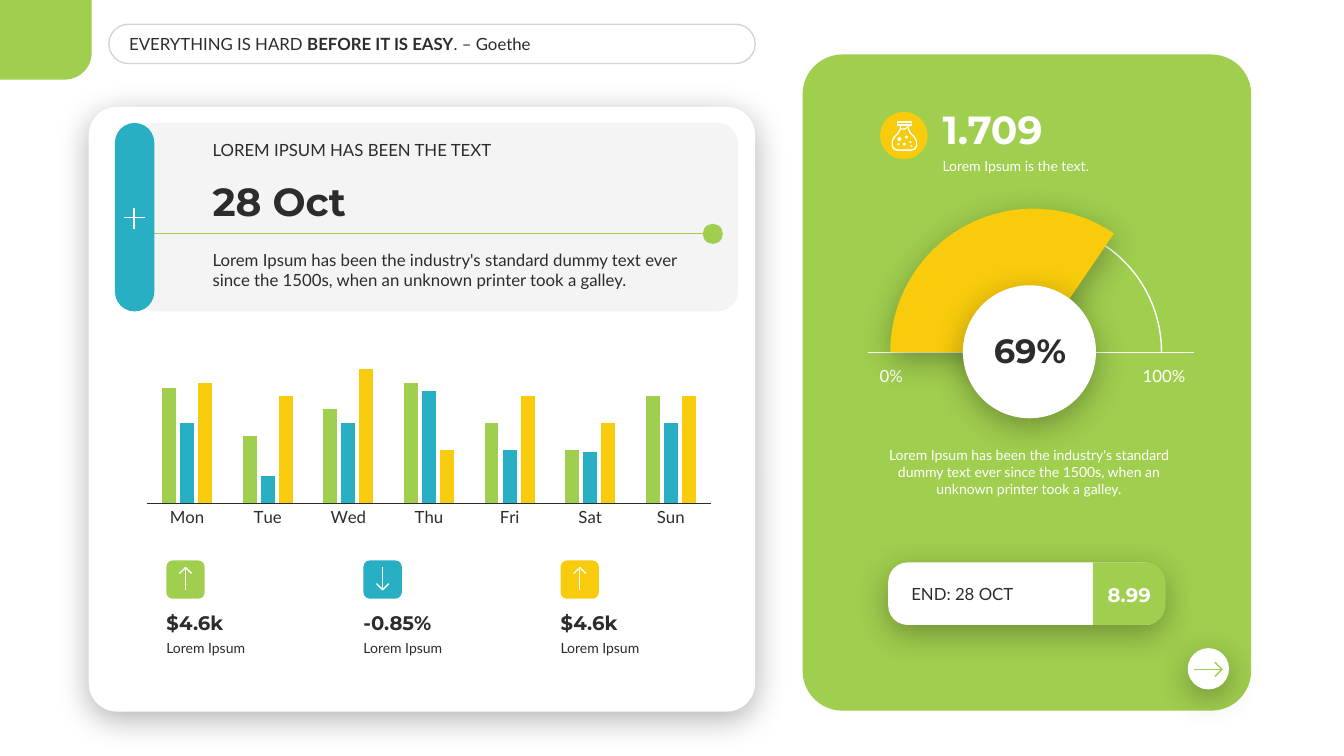
from dataclasses import dataclass

from lxml import etree
from pptx import Presentation
from pptx.chart.data import CategoryChartData
from pptx.dml.color import RGBColor
from pptx.enum.chart import XL_CHART_TYPE, XL_TICK_MARK
from pptx.enum.shapes import MSO_CONNECTOR, MSO_SHAPE
from pptx.enum.text import MSO_ANCHOR, PP_ALIGN
from pptx.oxml import parse_xml
from pptx.oxml.ns import nsdecls, qn
from pptx.util import Inches, Pt

ROUND, OVAL, ARC = MSO_SHAPE.ROUNDED_RECTANGLE, MSO_SHAPE.OVAL, MSO_SHAPE.ARC
ONE_ROUND, SIDE_ROUND = MSO_SHAPE.ROUND_1_RECTANGLE, MSO_SHAPE.ROUND_2_SAME_RECTANGLE
LEFT, CENTER = PP_ALIGN.LEFT, PP_ALIGN.CENTER
TOP, MIDDLE, BOTTOM = MSO_ANCHOR.TOP, MSO_ANCHOR.MIDDLE, MSO_ANCHOR.BOTTOM


@dataclass(frozen=True)
class Theme:
    ink: str = "2C2C2C"
    white: str = "FFFFFF"
    green: str = "A0CE4E"
    teal: str = "28AFC3"
    yellow: str = "F8CB0C"
    body: str = "Lato"
    head: str = "Montserrat"
    small: int = 10
    normal: int = 12
    figure: int = 14
    percent: int = 24
    title: int = 28


THEME = Theme()
QUOTE = [("EVERYTHING IS HARD ", False), ("BEFORE IT IS EASY", True), (". – Goethe", False)]
LOREM = ("Lorem Ipsum has been the industry's standard dummy text ever "
         "since the 1500s, when an unknown printer took a galley.")
DAYS = ["Mon", "Tue", "Wed", "Thu", "Fri", "Sat", "Sun"]
SERIES = [
    ("Series 1", [86, 50, 70, 90, 60, 40, 80], THEME.green),
    ("Series 2", [60, 20, 60, 84, 40, 38, 60], THEME.teal),
    ("Series 3", [90, 80, 100, 40, 80, 60, 80], THEME.yellow),
]
INDICATORS = [
    ("$4.6k", "Lorem Ipsum", THEME.green, -1),
    ("-0.85%", "Lorem Ipsum", THEME.teal, 1),
    ("$4.6k", "Lorem Ipsum", THEME.yellow, -1),
]
FIRST_INDICATOR, LAST_INDICATOR = 1.65, 5.56
GAUGE_START, GAUGE_END = 179.82, 304.24
ARC_UNIT = 0.6
FLASK = [
    [(8.93, 1.24), (8.93, 1.28), (8.91, 1.32), (8.87, 1.36), (8.85, 1.4), (8.85, 1.45),
     (8.87, 1.48), (8.9, 1.49), (9.03, 1.49), (9.07, 1.48), (9.09, 1.45), (9.09, 1.4),
     (9.07, 1.36), (9.03, 1.32), (9.01, 1.28), (9.01, 1.24)],
    [(8.9, 1.21), (9.04, 1.21), (9.04, 1.24), (8.9, 1.24), (8.9, 1.21)],
    [(8.93, 1.28), (8.97, 1.28), (9.01, 1.26)],
]
BUBBLES = [(8.92, 1.38, 0.04), (8.99, 1.36, 0.03), (8.97, 1.43, 0.03),
           (8.91, 1.43, 0.02), (9.03, 1.41, 0.02), (9.04, 1.45, 0.02)]

deck = Presentation()
deck.slide_width, deck.slide_height = Inches(13.33), Inches(7.5)
page = deck.slides.add_slide(deck.slide_layouts[6])


def rgb(color):
    return RGBColor.from_string(color)


def set_alpha(shape, percent):
    for color in shape._element.spPr.iter(qn("a:srgbClr")):
        etree.SubElement(color, qn("a:alpha")).set("val", str(percent * 1000))


def add_shape(kind, box, fill=None, line=None, adjust=(), rotation=0, shadow=False):
    shape = page.shapes.add_shape(kind, *map(Inches, box))
    shape.rotation = rotation
    for index, value in enumerate(adjust):
        shape.adjustments[index] = value
    if fill:
        shape.fill.solid()
        shape.fill.fore_color.rgb = rgb(fill)
    else:
        shape.fill.background()
    if line:
        shape.line.color.rgb = rgb(line)
        shape.line.width = Pt(1)
    else:
        shape.line.fill.background()
    shape.shadow.inherit = False
    if shadow:
        shape._element.spPr.find(qn("a:effectLst")).append(parse_xml(
            f'<a:outerShdw {nsdecls("a")} blurRad="{Pt(23)}" dist="{Pt(6)}" dir="5400000" '
            'algn="t" rotWithShape="0"><a:srgbClr val="000000"><a:alpha val="30000"/>'
            '</a:srgbClr></a:outerShdw>'))
    return shape


def add_text(box, text, size=THEME.normal, color=THEME.ink, face=THEME.body, bold=False,
             align=LEFT, anchor=TOP, side=0.1, edge=0.05):
    frame = page.shapes.add_textbox(*map(Inches, box)).text_frame
    frame.word_wrap = True
    frame.vertical_anchor = anchor
    frame.margin_left = frame.margin_right = Inches(side)
    frame.margin_top = frame.margin_bottom = Inches(edge)
    para = frame.paragraphs[0]
    para.alignment = align
    para.font.size, para.font.name = Pt(size), face
    para.font.color.rgb = rgb(color)
    for words, strong in [(text, bold)] if isinstance(text, str) else text:
        span = para.add_run()
        span.text = words
        span.font.bold = strong


def add_line(start, end, color, width):
    line = page.shapes.add_connector(MSO_CONNECTOR.STRAIGHT, *map(Inches, start + end))
    line.line.color.rgb = rgb(color)
    line.line.width = Pt(width)
    etree.SubElement(line._element.spPr, qn("a:effectLst"))


def add_icon(strokes, color, width=1):
    points = [[(Inches(x), Inches(y)) for x, y in stroke] for stroke in strokes]
    builder = page.shapes.build_freeform(*points[0][0])
    for index, stroke in enumerate(points):
        if index:
            builder.move_to(*stroke[0])
        builder.add_line_segments(stroke[1:], close=False)
    icon = builder.convert_to_shape()
    icon.fill.background()
    icon.line.color.rgb = rgb(color)
    icon.line.width = Pt(width)
    icon.shadow.inherit = False


def add_week_chart():
    data = CategoryChartData()
    data.categories = DAYS
    for name, values, _ in SERIES:
        data.add_series(name, values)
    chart = page.shapes.add_chart(XL_CHART_TYPE.COLUMN_CLUSTERED,
                                  *map(Inches, (1.34, 3.36, 5.83, 1.92)), data).chart
    chart.has_legend = chart.has_title = False
    chart.font.name, chart.font.size = THEME.body, Pt(THEME.normal)
    chart.font.color.rgb = rgb(THEME.ink)
    plot = chart.plots[0]
    plot.gap_width, plot.overlap, plot.vary_by_categories = 220, -30, False
    for series, (_, _, color) in zip(plot.series, SERIES):
        series.format.fill.solid()
        series.format.fill.fore_color.rgb = rgb(color)
    axis = chart.value_axis
    axis.minimum_scale, axis.maximum_scale = 0, 120
    axis.has_major_gridlines = axis.visible = False
    axis = chart.category_axis
    axis.major_tick_mark = XL_TICK_MARK.NONE
    axis.format.line.color.rgb = rgb(THEME.ink)
    axis.format.line.width = Pt(0.5)
    area = chart._chartSpace.find(".//" + qn("c:plotArea"))
    for old in area.findall(qn("c:layout")):
        area.remove(old)
    sizes = "".join(f'<c:{key} val="{value}"/>' for key, value in
                    [("x", 0.02), ("y", 0.02), ("w", 0.96), ("h", 0.83)])
    area.insert(0, parse_xml(
        f'<c:layout {nsdecls("c")}><c:manualLayout><c:layoutTarget val="inner"/>'
        f'<c:xMode val="edge"/><c:yMode val="edge"/>{sizes}</c:manualLayout></c:layout>'))


def add_indicator(left, value, label, color, way):
    add_shape(ROUND, (left, 5.56, 0.38, 0.38), color)
    x, y = left + 0.19, 5.74
    tip, bend = y + 0.11 * way, y + 0.05 * way
    add_icon([[(x, y - 0.11 * way), (x, tip)],
              [(x - 0.06, bend), (x, tip), (x + 0.06, bend)]], THEME.white)
    add_text((left, 6.3, 1.41, 0.27), label, THEME.small, side=0)
    add_text((left, 6, 1.41, 0.34), value, THEME.figure, face=THEME.head, bold=True,
             anchor=BOTTOM, side=0)


add_shape(ROUND, (0.88, 1.06, 6.61, 6), THEME.white, adjust=[0.047], shadow=True)
set_alpha(add_shape(ROUND, (1.08, 0.24, 6.41, 0.39), line=THEME.ink, adjust=[0.5]), 20)
add_text((1.24, 0.28, 6.08, 0.3), QUOTE, anchor=MIDDLE, side=0.04)
add_shape(ONE_ROUND, (0.06, -0.06, 0.79, 0.91), THEME.green, adjust=[0.34], rotation=90)
add_shape(ROUND, (7.96, 0.54, 4.45, 6.51), THEME.green, adjust=[0.089])

set_alpha(add_shape(ROUND, (1.34, 1.22, 5.98, 1.87), THEME.ink, adjust=[0.109]), 5)
add_text((2.01, 2.43, 5.1, 0.5), LOREM)
add_text((2.01, 1.71, 5.1, 0.57), "28 Oct", THEME.title, face=THEME.head, bold=True, anchor=BOTTOM)
add_text((2.01, 1.34, 5.1, 0.3), "LOREM IPSUM HAS BEEN THE TEXT", anchor=BOTTOM)
add_line((1.44, 2.32), (6.97, 2.32), THEME.green, 0.5)
add_shape(OVAL, (6.97, 2.22, 0.2, 0.2), THEME.green)
add_shape(ROUND, (1.14, 1.22, 0.39, 1.87), THEME.teal, adjust=[0.5])
add_icon([[(1.23, 2.16), (1.44, 2.16)], [(1.33, 2.06), (1.33, 2.27)]], THEME.white)

add_week_chart()
step = (LAST_INDICATOR - FIRST_INDICATOR) / (len(INDICATORS) - 1)
for order, indicator in enumerate(INDICATORS):
    add_indicator(FIRST_INDICATOR + order * step, *indicator)

add_text((9.25, 1.51, 2.73, 0.27), "Lorem Ipsum is the text.", THEME.small, THEME.white)
add_text((9.25, 0.99, 2.73, 0.57), "1.709", THEME.title, THEME.white, THEME.head, True, anchor=BOTTOM)
add_shape(OVAL, (8.73, 1.11, 0.47, 0.47), THEME.yellow)
add_icon(FLASK, THEME.white)
for x, y, size in BUBBLES:
    add_shape(OVAL, (x - size / 2, y - size / 2, size, size), THEME.white)

add_shape(ARC, (8.98, 2.22, 2.54, 2.54), line=THEME.white, adjust=[GAUGE_START * ARC_UNIT, 0])
add_line((8.61, 3.5), (11.84, 3.5), THEME.white, 1)
for left, width, label in [(8.68, 0.32, "0%"), (11.25, 0.59, "100%")]:
    add_text((left, 3.59, width, 0.28), label, color=THEME.white, align=CENTER,
             anchor=MIDDLE, side=0, edge=0)
add_shape(ARC, (8.83, 2.07, 2.84, 2.84), THEME.yellow, shadow=True,
          adjust=[GAUGE_START * ARC_UNIT, GAUGE_END * ARC_UNIT])
add_text((8.54, 4.38, 3.33, 0.61), LOREM, THEME.small, THEME.white, align=CENTER)
add_shape(OVAL, (9.55, 2.83, 1.32, 1.32), THEME.white, shadow=True)
add_text((9.47, 3.22, 1.49, 0.5), "69%", THEME.percent, face=THEME.head, bold=True,
         align=CENTER, anchor=MIDDLE)

add_shape(OVAL, (11.78, 6.43, 0.41, 0.41), THEME.white, shadow=True)
add_icon([[(11.84, 6.64), (12.12, 6.64)], [(12.05, 6.57), (12.12, 6.64), (12.05, 6.71)]], THEME.green)
add_shape(ROUND, (8.81, 5.58, 2.74, 0.62), THEME.white, adjust=[0.311], shadow=True)
add_text((8.94, 5.74, 1.96, 0.3), "END: 28 OCT", anchor=MIDDLE)
add_shape(SIDE_ROUND, (10.89, 5.53, 0.62, 0.72), THEME.green, adjust=[0.32, 0], rotation=90)
add_text((10.84, 5.73, 0.72, 0.34), "8.99", THEME.figure, THEME.white, THEME.head, True,
         CENTER, MIDDLE, side=0.04)

deck.save("out.pptx")
